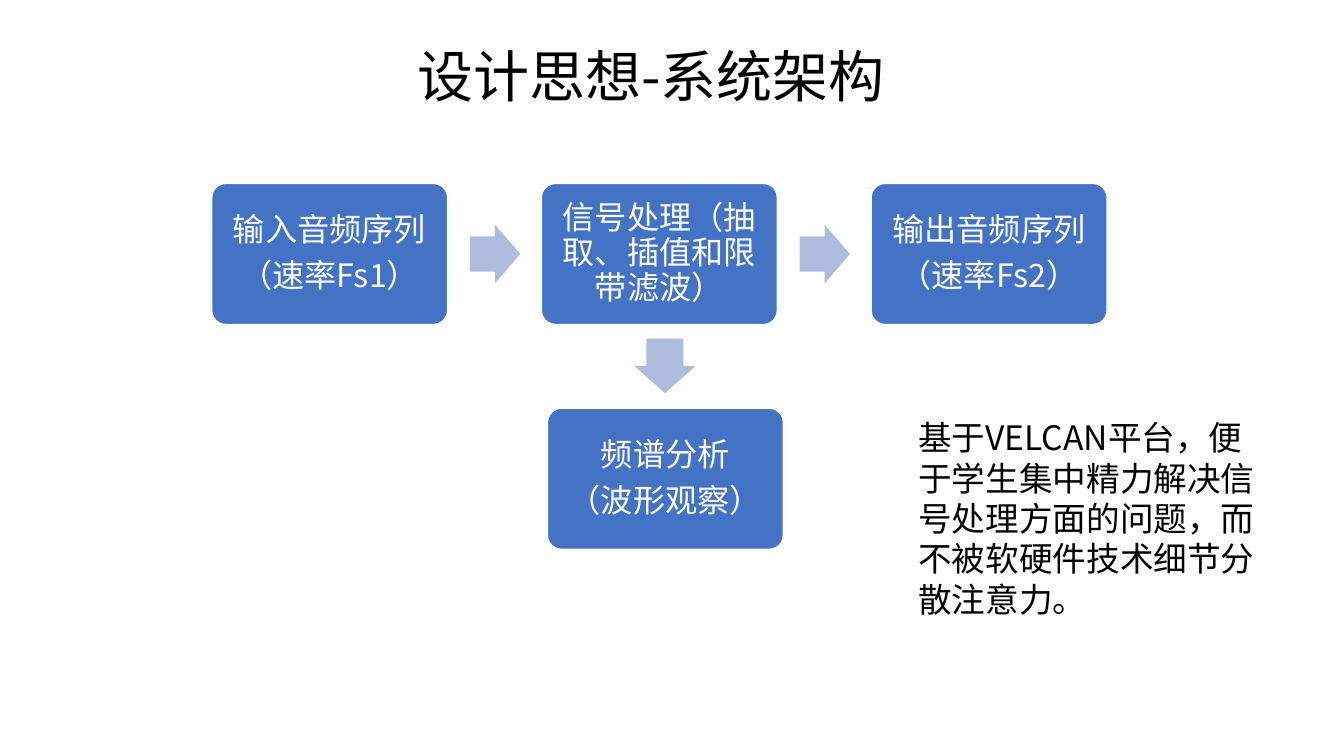
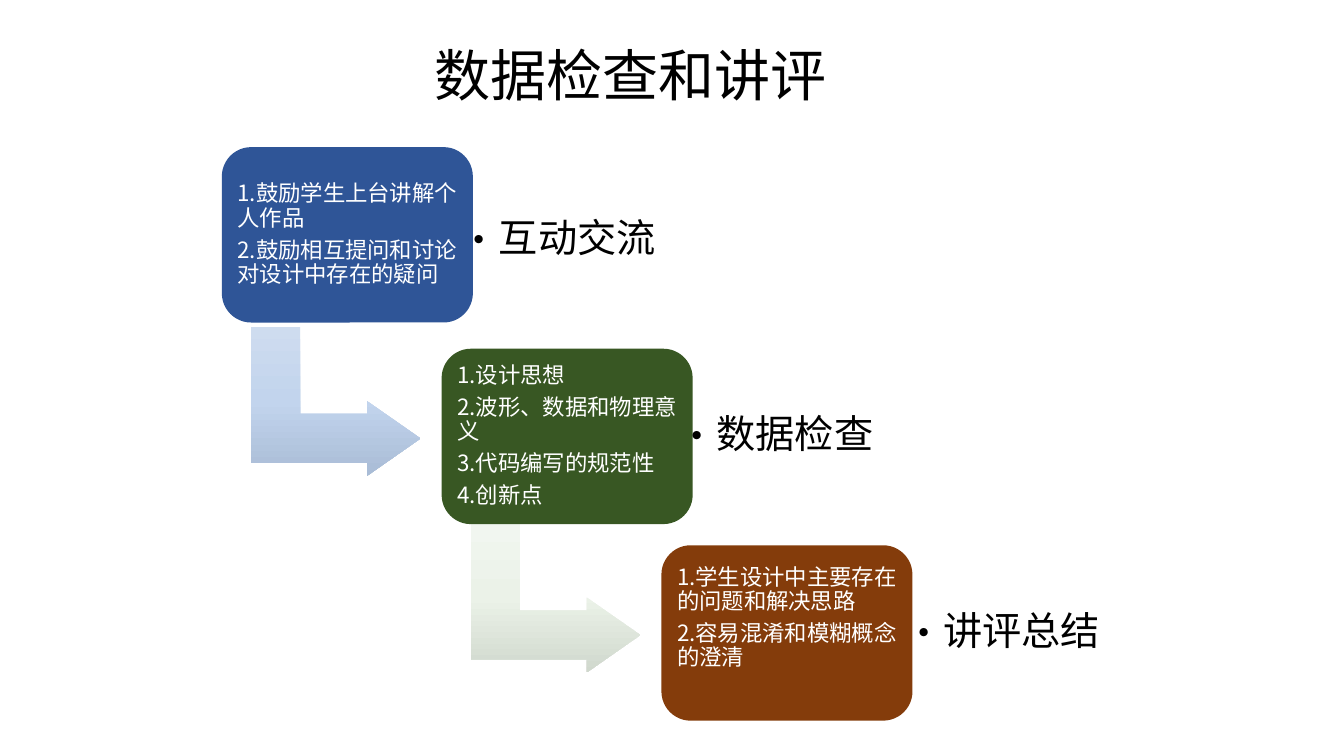
from dataclasses import dataclass

from lxml.etree import SubElement
from pptx import Presentation
from pptx.dml.color import RGBColor
from pptx.enum.shapes import MSO_SHAPE as Preset
from pptx.enum.text import MSO_ANCHOR as Anchor, PP_ALIGN as Align
from pptx.oxml import parse_xml
from pptx.oxml.ns import nsdecls, qn
from pptx.util import Inches, Pt

FONT = "Noto Sans CJK SC"
COLORS = {
    "ink": "000000",
    "paper": "FFFFFF",
    "module": "4472C4",
    "flow": "B0BCDE",
    "exchange": "2F5597",
    "check": "385723",
    "summary": "843C0B",
}


@dataclass(frozen=True)
class Area:
    left: float
    top: float
    width: float
    height: float

    def lengths(self) -> list:
        return [Inches(n) for n in (self.left, self.top, self.width, self.height)]


@dataclass(frozen=True)
class TextStyle:
    size: int
    color: str = "ink"
    align: Align = Align.LEFT
    anchor: Anchor = Anchor.TOP
    line_spacing: float = 1.0
    space_after: float = 0.0  # share of the text size
    inset: tuple = (0.1, 0.05, 0.1, 0.05)  # left, top, right, bottom


@dataclass(frozen=True)
class Module:
    left: float
    top: float
    lines: tuple


@dataclass(frozen=True)
class Step:
    top: float
    color: str
    lines: tuple
    label: str
    label_left: float
    label_width: float
    bottom_inset: float = 0.07


TITLE = TextStyle(40)
NOTE = TextStyle(24)
MODULE_TEXT = TextStyle(23, "paper", Align.CENTER, Anchor.MIDDLE, 0.9, 0.35, (0.1,) * 4)
LABEL = TextStyle(28, "ink", Align.LEFT, Anchor.MIDDLE, 0.9, 0.15, (0.12,) * 4)

MODULES = (
    Module(2.1, 1.82, ("输入音频序列", "（速率Fs1）")),
    Module(5.37, 1.82, ("信号处理（抽取、插值和限带滤波）",)),
    Module(8.64, 1.82, ("输出音频序列", "（速率Fs2）")),
    Module(5.43, 4.05, ("频谱分析", "（波形观察）")),
)
MODULE_ARROWS = (
    (Preset.RIGHT_ARROW, Area(4.66, 2.23, 0.5, 0.58)),
    (Preset.RIGHT_ARROW, Area(7.93, 2.23, 0.5, 0.58)),
    (Preset.DOWN_ARROW, Area(6.29, 3.36, 0.61, 0.54)),
)

STEP_LEFT, STEP_SHIFT, STEP_DROP = 2.2, 2.18, 1.95
STEPS = (
    Step(1.46, "exchange",
         ("1.鼓励学生上台讲解个人作品", "2.鼓励相互提问和讨论对设计中存在的疑问"),
         "互动交流", 4.44, 2.32),
    Step(3.46, "check",
         ("1.设计思想", "2.波形、数据和物理意义", "3.代码编写的规范性", "4.创新点"),
         "数据检查", 6.6, 2.35),
    Step(5.41, "summary",
         ("1.学生设计中主要存在的问题和解决思路", "2.容易混淆和模糊概念的澄清"),
         "讲评总结", 8.85, 2.23, bottom_inset=0.36),
)
ARROW_GRADIENTS = (("CEDCEF", "C2D4ED", "A9BCD6"), ("F1F6F0", "EBF2E8", "D0D8CD"))


def rgb(name: str) -> RGBColor:
    return RGBColor.from_string(COLORS[name])


def set_all(target, values: dict) -> None:
    for name, value in values.items():
        setattr(target, name, value)


def write(shape, lines: tuple, style: TextStyle) -> None:
    frame = shape.text_frame
    left, top, right, bottom = (Inches(n) for n in style.inset)
    set_all(frame, {
        "word_wrap": True, "vertical_anchor": style.anchor,
        "margin_left": left, "margin_top": top,
        "margin_right": right, "margin_bottom": bottom,
    })
    for index, line in enumerate(lines):
        para = frame.add_paragraph() if index else frame.paragraphs[0]
        set_all(para, {
            "alignment": style.align,
            "line_spacing": style.line_spacing,
            "space_after": Pt(style.size * style.space_after),
        })
        span = para.add_run()
        span.text = line
        set_all(span.font, {"name": FONT, "size": Pt(style.size)})
        span.font.color.rgb = rgb(style.color)
        SubElement(span.font._element, qn("a:ea"), typeface=FONT)


def add_text(page, area: Area, lines: tuple, style: TextStyle):
    box = page.shapes.add_textbox(*area.lengths())
    write(box, lines, style)
    return box


def add_preset(page, preset: Preset, area: Area, color: str, adjustments: tuple):
    shape = page.shapes.add_shape(preset, *area.lengths())
    shape.shadow.inherit = False
    shape.fill.solid()
    shape.fill.fore_color.rgb = rgb(color)
    shape.line.fill.background()
    for index, value in enumerate(adjustments):
        shape.adjustments[index] = value
    return shape


def add_bullet(para) -> None:
    """Give the paragraph a round bullet with a hanging indent."""
    properties = para._p.get_or_add_pPr()
    properties.set("marL", str(Inches(0.31)))
    properties.set("indent", str(-Inches(0.31)))
    SubElement(properties, qn("a:buFont"), typeface=FONT)
    SubElement(properties, qn("a:buChar"), char="•")


def fill_gradient(shape, stops: tuple) -> None:
    """Replace the solid fill by an even gradient along the shape's own width."""
    marks = "".join(
        f'<a:gs pos="{index * 50000}"><a:srgbClr val="{color}"/></a:gs>'
        for index, color in enumerate(stops)
    )
    gradient = parse_xml(
        f'<a:gradFill {nsdecls("a")} rotWithShape="1"><a:gsLst>{marks}</a:gsLst>'
        '<a:lin ang="0" scaled="0"/></a:gradFill>'
    )
    properties = shape._element.spPr
    properties.replace(properties.find(qn("a:solidFill")), gradient)


def add_module(page, module: Module) -> None:
    area = Area(module.left, module.top, 2.34, 1.4)
    box = add_preset(page, Preset.ROUNDED_RECTANGLE, area, "module", (0.1,))
    box.line.color.rgb = rgb("paper")
    box.line.width = Pt(1)
    write(box, module.lines, MODULE_TEXT)


def add_step(page, index: int, step: Step) -> None:
    left = STEP_LEFT + index * STEP_SHIFT
    drop = index * STEP_DROP
    if index < len(ARROW_GRADIENTS):
        arrow = add_preset(page, Preset.BENT_UP_ARROW,
                           Area(left + 0.39, 3.14 + drop, 1.48, 1.68),
                           "flow", (0.328, 0.25, 0.358))
        arrow.rotation = 90
        fill_gradient(arrow, ARROW_GRADIENTS[index])
    box = add_preset(page, Preset.ROUNDED_RECTANGLE,
                     Area(left, step.top, 2.49, 1.74), step.color, (0.167,))
    write(box, step.lines, TextStyle(
        16, "paper", Align.LEFT, Anchor.MIDDLE, 0.9, 0.35,
        (0.07, 0.07, 0.07, step.bottom_inset)))
    label = add_text(page, Area(step.label_left, 1.67 + drop, step.label_width, 1.41),
                     (step.label,), LABEL)
    add_bullet(label.text_frame.paragraphs[0])


def add_page(deck, title: str, area: Area):
    page = deck.slides.add_slide(deck.slide_layouts[6])
    add_text(page, area, (title,), TITLE)
    return page


def build_architecture(deck) -> None:
    page = add_page(deck, "设计思想-系统架构", Area(4.04, 0.36, 4.97, 0.77))
    for module in MODULES:
        add_module(page, module)
    for preset, area in MODULE_ARROWS:
        add_preset(page, preset, area, "flow", (0.6, 0.5))
    add_text(page, Area(9.01, 4.09, 3.62, 2.12), (
        "基于VELCAN平台，便于学生集中精力解决信号处理方面的问题，而不被软硬件技术细节分散注意力。",
    ), NOTE)


def build_review(deck) -> None:
    page = add_page(deck, "数据检查和讲评", Area(4.21, 0.35, 4.13, 0.77))
    for index, step in enumerate(STEPS):
        add_step(page, index, step)


def main() -> None:
    deck = Presentation()
    set_all(deck, {"slide_width": Inches(13.33), "slide_height": Inches(7.5)})
    build_architecture(deck)
    build_review(deck)
    deck.save("out.pptx")


if __name__ == "__main__":
    main()
